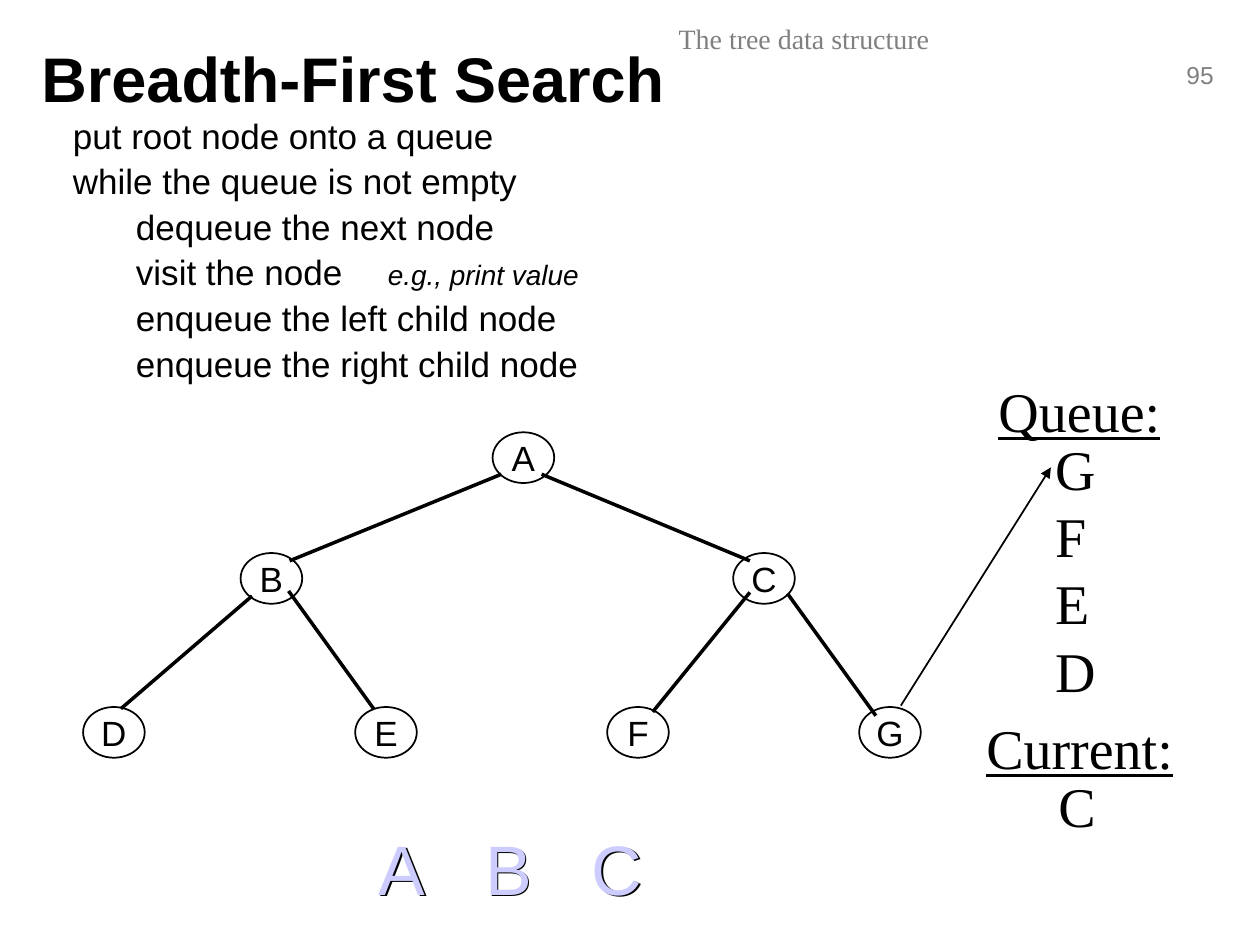
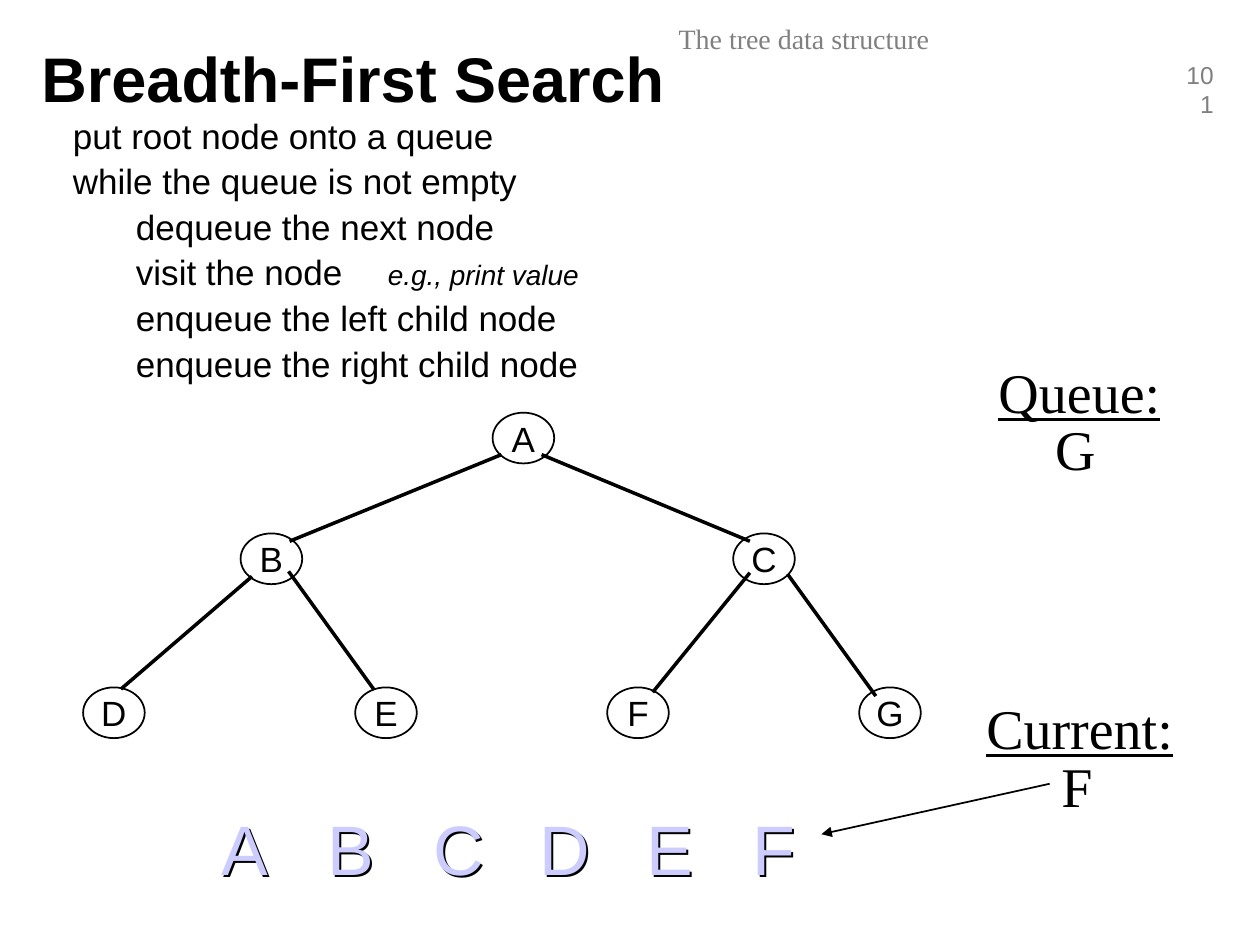
from lxml.etree import SubElement
from pptx import Presentation
from pptx.dml.color import RGBColor
from pptx.enum.shapes import MSO_CONNECTOR, MSO_SHAPE
from pptx.enum.text import MSO_ANCHOR, PP_ALIGN
from pptx.oxml.ns import qn
from pptx.util import Pt

COLOURS = {"ink": "000000", "paper": "FFFFFF", "muted": "808080", "visited": "CCCCFF"}
SANS, SERIF = "Arial", "Times New Roman"

NODE_SIZE = (35.2, 29)
NODES = {
    "A": (234, 0),
    "B": (90, 69), "C": (371.5, 69),
    "D": (0, 157), "E": (155.5, 157), "F": (299.5, 157), "G": (443.5, 157),
}
EDGES = [
    ((239, 24), (118, 73.5)),
    ((262, 24), (381, 73.5)),
    ((96.5, 93.6), (21.6, 158)),
    ((381, 91.5), (325.5, 159.8)),
    ((402.5, 92.2), (453, 162)),
    ((117.4, 90.7), (166.3, 158.4)),
]
PSEUDOCODE = [
    (1, "put root node onto a queue", ""),
    (1, "while the queue is not empty", ""),
    (2, "dequeue the next node", ""),
    (2, "visit the node", "e.g., print value"),
    (2, "enqueue the left child node", ""),
    (2, "enqueue the right child node", ""),
]
LETTER_PITCH = 60.7

# Arrow ends are measured from the top left of the region below the pseudocode.
STEPS = [
    {"number": "95", "top": 211.7, "queue": "GFED", "current": "C", "visited": "ABC",
     "arrow": ((514.8, 191.5), (600.5, 55.4))},
    {"number": "101", "top": 200.5, "queue": "G", "current": "F", "visited": "ABCDEF",
     "arrow": ((599.8, 247.4), (469.4, 276.2))},
]


def colour(name):
    return RGBColor.from_string(COLOURS[name])


def add_box(page, left, top, width, height, anchor=MSO_ANCHOR.TOP):
    """Add an empty wrapping text box and return it."""
    box = page.shapes.add_textbox(Pt(left), Pt(top), Pt(width), Pt(height))
    box.text_frame.word_wrap = True
    box.text_frame.vertical_anchor = anchor
    return box


def add_span(para, text, size, font=SANS, ink="ink", **styles):
    span = para.add_run()
    span.text = text
    span.font.size = Pt(size)
    span.font.color.rgb = colour(ink)
    span.font.name = font
    for style, value in styles.items():
        setattr(span.font, style, value)


def add_tab_stops(para, positions):
    stops = SubElement(para._p.get_or_add_pPr(), qn("a:tabLst"))
    for position in positions:
        SubElement(stops, qn("a:tab"), pos=str(Pt(position)), algn="l")


def add_letter_shadow(box):
    """Shadow an unfilled box, so that the shadow falls from its letters."""
    effects = SubElement(box._element.spPr, qn("a:effectLst"))
    shadow = SubElement(effects, qn("a:outerShdw"), dist=str(Pt(1.5)), dir="2700000")
    SubElement(shadow, qn("a:srgbClr"), val=COLOURS["ink"])


def add_line(page, start, end, left, top, width, arrow=False):
    line = page.shapes.add_connector(
        MSO_CONNECTOR.STRAIGHT,
        Pt(left + start[0]), Pt(top + start[1]), Pt(left + end[0]), Pt(top + end[1]))
    line.line.color.rgb = colour("ink")
    line.line.width = Pt(width)
    if arrow:
        SubElement(line.line._get_or_add_ln(), qn("a:tailEnd"), type="triangle")
    SubElement(line._element.spPr, qn("a:effectLst"))


def add_header(page, number):
    para = add_box(page, 669, 30.6, 31.6, 24).text_frame.paragraphs[0]
    para.alignment = PP_ALIGN.RIGHT
    add_span(para, number, 14, ink="muted")

    para = add_box(page, 229.7, 8.6, 459.4, 28.8).text_frame.paragraphs[0]
    para.alignment = PP_ALIGN.CENTER
    add_span(para, "The tree data structure", 16, SERIF, "muted")

    title = add_box(page, 16.6, 10.8, 578, 67, MSO_ANCHOR.MIDDLE)
    add_span(title.text_frame.paragraphs[0], "Breadth-First Search", 36, bold=True)


def add_pseudocode(page, left, top):
    frame = add_box(page, left, top, 416, 165).text_frame
    for index, (level, code, remark) in enumerate(PSEUDOCODE):
        para = frame.add_paragraph() if index else frame.paragraphs[0]
        if index:
            para.space_before = Pt(2)
        properties = para._p.get_or_add_pPr()
        properties.set("marL", str(Pt(36 * level)))
        properties.set("indent", "0")
        if remark:
            add_tab_stops(para, [360])
            add_span(para, code + "\t", 20)
            add_span(para, remark, 16, italic=True)
        else:
            add_span(para, code, 20)


def add_tree(page, left, top):
    for letter, (x, y) in NODES.items():
        node = page.shapes.add_shape(
            MSO_SHAPE.OVAL, Pt(left + x), Pt(top + y), *map(Pt, NODE_SIZE))
        node.shadow.inherit = False
        node.fill.solid()
        node.fill.fore_color.rgb = colour("paper")
        node.line.color.rgb = colour("ink")
        node.line.width = Pt(1)
        frame = node.text_frame
        frame.margin_left = frame.margin_right = frame.margin_top = frame.margin_bottom = 0
        frame.vertical_anchor = MSO_ANCHOR.MIDDLE
        frame.word_wrap = False
        para = frame.paragraphs[0]
        para.alignment = PP_ALIGN.CENTER
        add_span(para, letter, 20)
    for start, end in EDGES:
        add_line(page, start, end, left, top, 2)


def add_state(page, left, top, queue, current):
    """Add the queue and the current node, each under its underlined heading."""
    for heading, x, y, width in (("Queue:", 7, 0, 108), ("Current:", 0, 192.2, 121.7)):
        box = add_box(page, left + x, top + y, width, 46)
        add_span(box.text_frame.paragraphs[0], heading, 32, SERIF, underline=True)

    frame = add_box(page, left + 39.4, top + 33, 38, 46 + 38.5 * (len(queue) - 1)).text_frame
    for index, letter in enumerate(queue):
        para = frame.add_paragraph() if index else frame.paragraphs[0]
        add_span(para, letter, 32, SERIF)

    para = add_box(page, left + 40.4, top + 225.6, 37, 46).text_frame.paragraphs[0]
    para.alignment = PP_ALIGN.CENTER
    add_span(para, current, 32, SERIF)


def add_visited(page, centre, top, letters):
    width = 60 * len(letters) - 6
    box = add_box(page, centre - width / 2, top, width, 55)
    add_letter_shadow(box)
    para = box.text_frame.paragraphs[0]
    add_tab_stops(para, [LETTER_PITCH * count for count in range(1, len(letters))])
    add_span(para, "\t".join(letters), 40, ink="visited")


def add_step(deck, step):
    page = deck.slides.add_slide(deck.slide_layouts[6])
    top = step["top"]
    add_header(page, step["number"])
    add_tree(page, 47.5, top + 35.3)
    add_state(page, 556.5, top, step["queue"], step["current"])
    add_line(page, *step["arrow"], 0, top, 1, arrow=True)
    add_visited(page, 296.4, top + 256.3, step["visited"])
    add_pseudocode(page, -1.4, 61.8)


def main():
    deck = Presentation()
    deck.slide_width, deck.slide_height = Pt(720), Pt(540)
    for step in STEPS:
        add_step(deck, step)
    deck.save("out.pptx")


if __name__ == "__main__":
    main()
